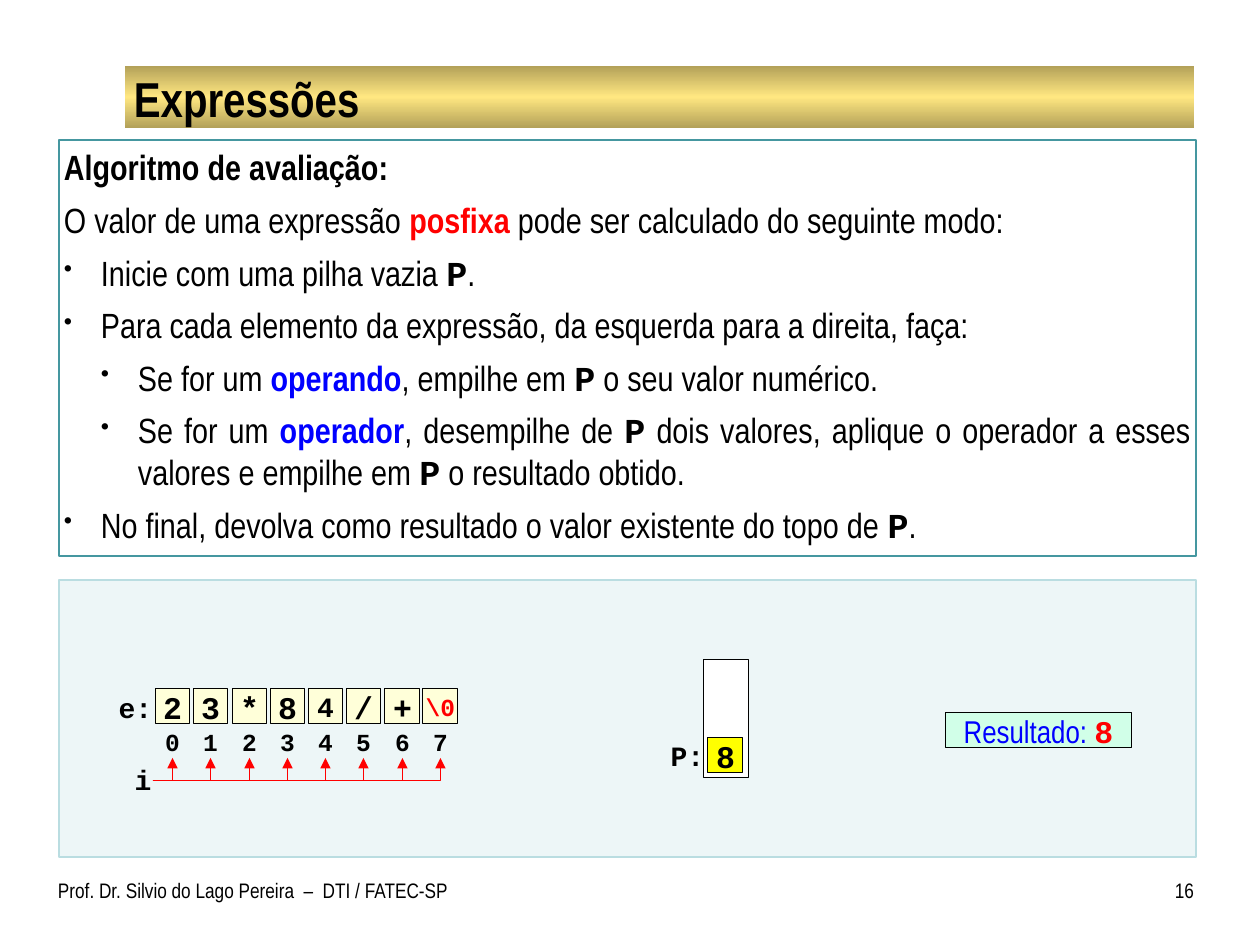
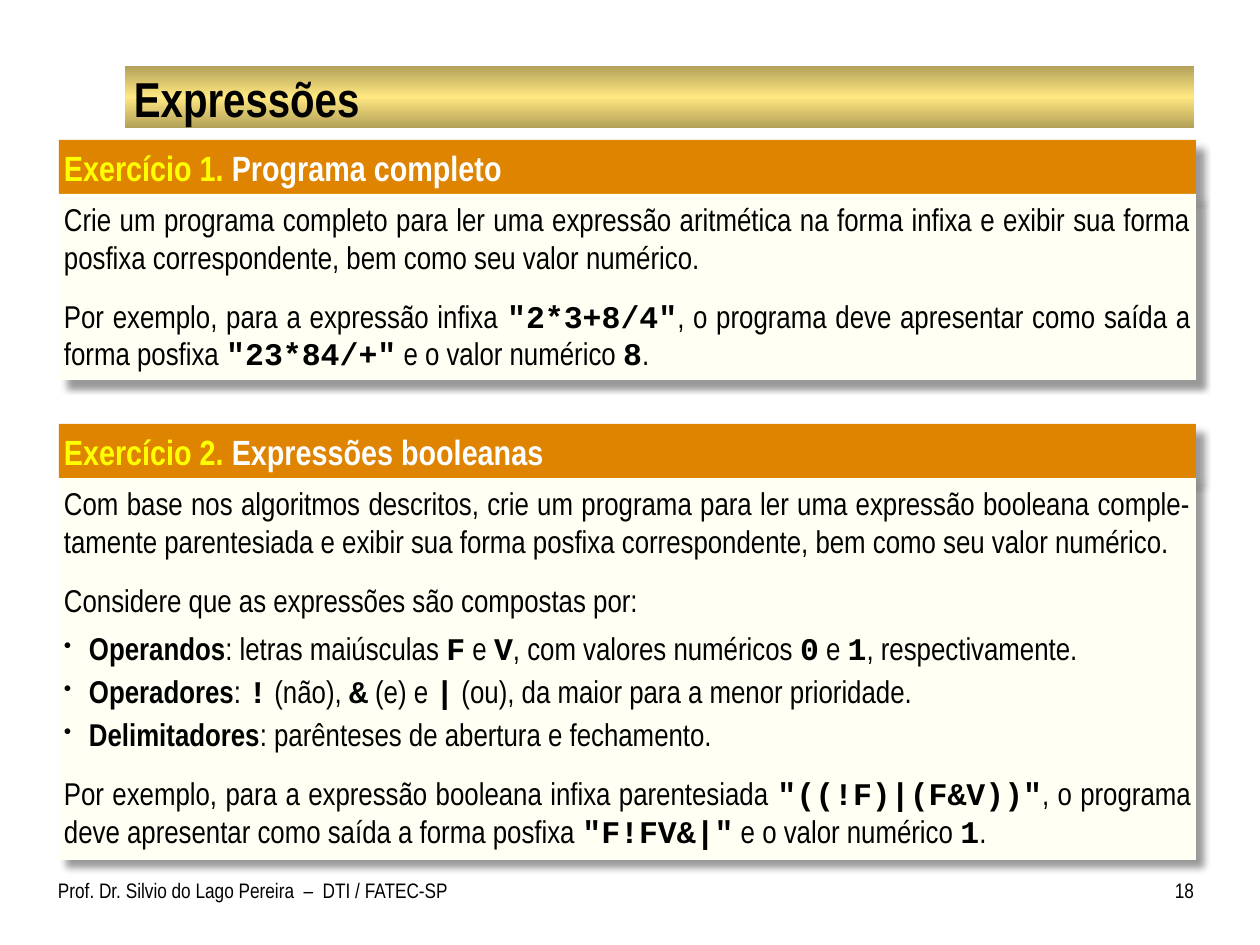
"""Build two lecture slides on evaluating postfix expressions."""
import lxml.etree
import pptx
import pptx.dml.color
import pptx.enum.shapes
import pptx.enum.text
import pptx.oxml.ns
import pptx.util

COLORS = {
    "black": "000000", "white": "FFFFFF", "red": "FF0000", "blue": "0000FF",
    "yellow": "FFFF00", "gold_edge": "B3A159", "gold_middle": "FFE781",
    "frame": "4597A0", "panel": "EDF6F7", "panel_line": "BADDE1",
    "cell": "FFFFD9", "result": "D1FFE8", "orange": "DE8400", "cream": "FFFFF3",
}
SANS, MONO = "Arial Narrow", "Courier New"
STYLES = {
    "plain": (SANS, False, "black"),
    "bold": (SANS, True, "black"),
    "code": (MONO, True, "black"),
    "code red": (MONO, True, "red"),
    "red": (SANS, True, "red"),
    "blue": (SANS, True, "blue"),
    "blue plain": (SANS, False, "blue"),
    "yellow": (SANS, True, "yellow"),
    "white": (SANS, True, "white"),
}

TITLE = "Expressões"
AUTHOR = "Prof. Dr. Silvio do Lago Pereira  –  DTI / FATEC-SP"
P = ("P", "code")

ALGORITHM = [
    {"spans": [("Algoritmo de avaliação:", "bold")]},
    {"before": 6, "spans": ["O valor de uma expressão ", ("posfixa", "red"),
                            " pode ser calculado do seguinte modo:"]},
    {"before": 6, "indent": (37, 37), "spans": ["Inicie com uma pilha vazia ", P, "."]},
    {"before": 6, "indent": (37, 37), "spans": [
        "Para cada elemento da expressão, da esquerda para a direita, faça:"]},
    {"before": 6, "indent": (74, 37), "spans": [
        "Se for um ", ("operando", "blue"), ", empilhe em ", P, " o seu valor numérico."]},
    {"before": 6, "indent": (74, 37), "spans": [
        "Se for um ", ("operador", "blue"), ", desempilhe de ", P,
        " dois valores, aplique o operador a esses valores e empilhe em ", P,
        " o resultado obtido."]},
    {"before": 6, "indent": (37, 37), "spans": [
        "No final, devolva como resultado o valor existente do topo de ", P, "."]},
]

EXPRESSION = [("2", 18, "code"), ("3", 18, "code"), ("*", 18, "code"), ("8", 18, "code"),
              ("4", 16, "code"), ("/", 18, "code"), ("+", 18, "code"), ("\\0", 14, "code red")]

EXERCISES = [
    {"top": 140, "height": 186, "number": "Exercício 1.", "name": " Programa completo", "body": [
        {"before": 6, "spans": [
            "Crie um programa completo para ler uma expressão aritmética na forma infixa e exibir "
            "sua forma posfixa correspondente, bem como seu valor numérico."]},
        {"before": 12, "spans": [
            "Por exemplo, para a expressão infixa ", ('"2*3+8/4"', "code"),
            ", o programa deve apresentar como saída a forma posfixa ", ('"23*84/+"', "code"),
            " e o valor numérico ", ("8", "code"), "."]},
    ]},
    {"top": 424, "height": 382, "number": "Exercício 2.", "name": " Expressões booleanas", "body": [
        {"before": 6, "spans": [
            "Com base nos algoritmos descritos, crie um programa para ler uma expressão booleana "
            "comple-tamente parentesiada e exibir sua forma posfixa correspondente, bem como seu "
            "valor numérico."]},
        {"before": 12, "spans": ["Considere que as expressões são compostas por:"]},
        {"before": 6, "indent": (25, 25), "spans": [
            ("Operandos", "bold"), ": letras maiúsculas ", ("F", "code"), " e ", ("V", "code"),
            ", com valores numéricos ", ("0", "code"), " e ", ("1", "code"), ", respectivamente."]},
        {"before": 3, "indent": (25, 25), "spans": [
            ("Operadores", "bold"), ": ", ("!", "code"), " (não), ", ("&", "code"), " (e) e ",
            ("|", "code"), " (ou), da maior para a menor prioridade."]},
        {"before": 3, "indent": (25, 25), "spans": [
            ("Delimitadores", "bold"), ": parênteses de abertura e fechamento."]},
        {"before": 12, "spans": [
            "Por exemplo, para a expressão booleana infixa parentesiada ",
            ('"((!F)|(F&V))"', "code"),
            ", o programa deve apresentar como saída a forma posfixa ", ('"F!FV&|"', "code"),
            " e o valor numérico ", ("1", "code"), "."]},
    ]},
]

SLIDE_SIZE = (1260, 945)
LEFT, WIDTH = 59, 1137
HEADING_HEIGHT = 54
CELL, CELL_LEFT, CELL_TOP, CELL_SPAN = 35, 155, 689, 268
INDEX_TOP = CELL_TOP + CELL
ARROW_LEFT, ARROW_BASE, ARROW_TIP = 153, 780, 758
BODY_INSETS = (5, 6, 5, 6)
LABEL_INSETS = (0, 4, 0, 4)
ALIGN = pptx.enum.text.PP_ALIGN
MIDDLE = pptx.enum.text.MSO_ANCHOR.MIDDLE
TOP = pptx.enum.text.MSO_ANCHOR.TOP


def px(length):
    return pptx.util.Emu(round(length * 914400 / 126))


def rgb(name):
    return pptx.dml.color.RGBColor.from_string(COLORS[name])


def add_xml(parent, tag, **attributes):
    names = {key: str(value) for key, value in attributes.items()}
    return lxml.etree.SubElement(parent, pptx.oxml.ns.qn(tag), names)


def add_box(slide, place, fill=None, line=None, line_width=0.5):
    kind = pptx.enum.shapes.MSO_SHAPE.RECTANGLE
    box = slide.shapes.add_shape(kind, *map(px, place))
    box.shadow.inherit = False
    if fill:
        box.fill.solid()
        box.fill.fore_color.rgb = rgb(fill)
    else:
        box.fill.background()
    if line:
        box.line.color.rgb = rgb(line)
        box.line.width = pptx.util.Pt(line_width)
    else:
        box.line.fill.background()
    return box


def write(box, paragraphs, size, insets, align=ALIGN.LEFT, anchor=TOP, after=0):
    frame = box.text_frame
    frame.word_wrap = True
    frame.vertical_anchor = anchor
    frame.margin_left, frame.margin_top, frame.margin_right, frame.margin_bottom = map(px, insets)
    for number, content in enumerate(paragraphs):
        para = frame.add_paragraph() if number else frame.paragraphs[0]
        para.alignment = align
        para.space_before = pptx.util.Pt(content.get("before", 0))
        para.space_after = pptx.util.Pt(after)
        if "indent" in content:
            margin, hanging = content["indent"]
            properties = para._p.get_or_add_pPr()
            properties.set("marL", str(px(margin)))
            properties.set("indent", str(-px(hanging)))
            add_xml(properties, "a:buSzPct", val=70000)
            add_xml(properties, "a:buChar", char="•")
        for part in content["spans"]:
            text, style = (part, "plain") if isinstance(part, str) else part
            span = para.add_run()
            span.text = text
            span.font.size = pptx.util.Pt(size)
            span.font.name, span.font.bold, color = STYLES[style]
            span.font.color.rgb = rgb(color)


def add_text(slide, place, text, size, style, insets, **layout):
    box = slide.shapes.add_textbox(*map(px, place))
    write(box, [{"spans": [(text, style)]}], size, insets, **layout)


def write_label(box, spans, size):
    write(box, [{"spans": spans}], size, LABEL_INSETS, ALIGN.CENTER, MIDDLE, 10)


def add_label(slide, place, text, size):
    write_label(slide.shapes.add_textbox(*map(px, place)), [(text, "code")], size)


def add_shadow(box):
    effects = box._element.spPr.find(pptx.oxml.ns.qn("a:effectLst"))
    shadow = add_xml(effects, "a:outerShdw", blurRad=pptx.util.Pt(4), dist=pptx.util.Pt(6),
                     dir=45 * 60000, algn="tl", rotWithShape=0)
    color = add_xml(shadow, "a:srgbClr", val=COLORS["black"])
    add_xml(color, "a:alpha", val=40000)


def add_base(deck, page_number):
    slide = deck.slides.add_slide(deck.slide_layouts[6])
    band = add_box(slide, (125, 66, 1069, 62))
    band.fill.gradient()
    band.fill.gradient_angle = 270
    stops = band._element.spPr.find(".//" + pptx.oxml.ns.qn("a:gsLst"))
    for stop in list(stops):
        stops.remove(stop)
    for position, name in enumerate(("gold_edge", "gold_middle", "gold_edge")):
        stop = add_xml(stops, "a:gs", pos=position * 50000)
        add_xml(stop, "a:srgbClr", val=COLORS[name])
    add_text(slide, (126, 68, 1067, 59), TITLE, 28, "bold", (8, 1, 8, 1), anchor=MIDDLE)
    add_text(slide, (58, 872, 412, 53), AUTHOR, 12, "plain", (0, 6, 13, 6))
    add_text(slide, (1144, 872, 50, 53), page_number, 12, "plain", (13, 6, 0, 6), align=ALIGN.RIGHT)
    return slide


def add_index_arrow(slide, x):
    ends = map(px, (ARROW_LEFT, ARROW_BASE, x, ARROW_TIP))
    arrow = slide.shapes.add_connector(pptx.enum.shapes.MSO_CONNECTOR.ELBOW, *ends)
    arrow.line.color.rgb = rgb("red")
    arrow.line.width = pptx.util.Pt(0.25)
    properties = arrow._element.spPr
    properties.find(pptx.oxml.ns.qn("a:prstGeom")).set("prst", "bentConnector2")
    add_xml(properties.find(pptx.oxml.ns.qn("a:ln")), "a:tailEnd", type="triangle")
    add_xml(properties, "a:effectLst")


def build_algorithm(deck):
    slide = add_base(deck, "16")
    frame = add_box(slide, (LEFT, 140, WIDTH, 416), line="frame", line_width=0.75)
    write(frame, ALGORITHM, 20, BODY_INSETS, ALIGN.JUSTIFY)
    add_box(slide, (LEFT, 580, WIDTH, 277), "panel", "panel_line", 0.75)

    add_label(slide, (118, 690, CELL, CELL), "e:", 16)
    add_label(slide, (133, 762, 20, CELL), "i", 16)
    for index, (symbol, size, style) in enumerate(EXPRESSION):
        left = CELL_LEFT + round(CELL_SPAN * index / (len(EXPRESSION) - 1))
        cell = add_box(slide, (left, CELL_TOP, CELL, CELL), "cell", "black")
        write_label(cell, [(symbol, style)], size)
        add_label(slide, (left, INDEX_TOP, CELL, CELL), str(index), 14)
        add_index_arrow(slide, left + CELL / 2)

    add_box(slide, (703, 659, 45, 118), "white", "black")
    stack_top = add_box(slide, (708, 738, CELL, CELL), "yellow", "black")
    write_label(stack_top, [("8", "code")], 18)
    add_label(slide, (670, 738, CELL, CELL), "P:", 16)
    result = add_box(slide, (945, 713, 187, CELL), "result", "black")
    write_label(result, [("Resultado: ", "blue plain"), ("8", "code red")], 18)


def build_exercises(deck):
    slide = add_base(deck, "18")
    for exercise in EXERCISES:
        heading = add_box(slide, (LEFT, exercise["top"], WIDTH, HEADING_HEIGHT), "orange")
        spans = [(exercise["number"], "yellow"), (exercise["name"], "white")]
        write(heading, [{"spans": spans}], 20, BODY_INSETS)
        body_top = exercise["top"] + HEADING_HEIGHT
        body = add_box(slide, (LEFT, body_top, WIDTH, exercise["height"]), "cream")
        write(body, exercise["body"], 18, BODY_INSETS, ALIGN.JUSTIFY)
        add_shadow(heading)
        add_shadow(body)


def main():
    deck = pptx.Presentation()
    deck.slide_width, deck.slide_height = map(px, SLIDE_SIZE)
    build_algorithm(deck)
    build_exercises(deck)
    deck.save("out.pptx")


if __name__ == "__main__":
    main()
